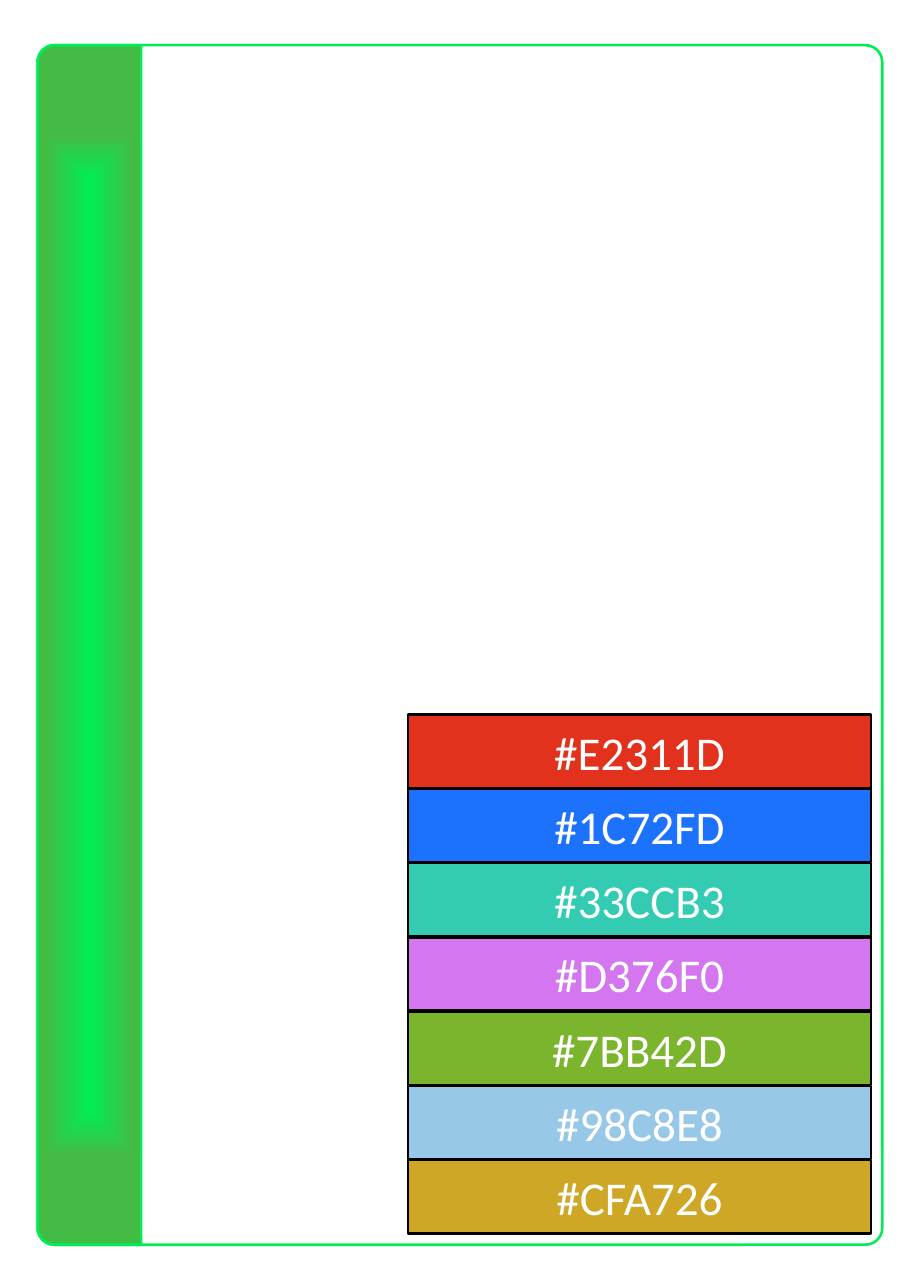
from math import cos, pi, sin
from lxml.etree import fromstring
from pptx import Presentation
from pptx.dml.color import RGBColor as Rgb
from pptx.enum.shapes import MSO_SHAPE as Kind
from pptx.enum.text import MSO_ANCHOR as Anchor, PP_ALIGN as Align
from pptx.util import Inches as In, Pt

codes = ["E2311D", "1C72FD", "33CCB3", "D376F0", "7BB42D", "98C8E8", "CFA726"]
hues = {"lime": "00EE55", "leaf": "44BB44", "edge": "000000", "text": "FFFFFF"}
fonts = {"name": "Calibri", "size": Pt(18), "color": hues["text"]}

wide, high = 4.88, 6.85
left, top, span, tall = 0.2, 0.24, 4.49, 6.38
band, curve = 0.55, 0.02
swatch = {"left": 2.17, "top": 3.8, "wide": 2.46, "high": 0.39, "step": 0.395}

deck = Presentation()
deck.slide_width, deck.slide_height = In(wide), In(high)
slide = deck.slides.add_slide(deck.slide_layouts[6])
shapes = slide.shapes


def trim(shape, hue, fill=None):
    shape.shadow.inherit = False
    shape.line.color.rgb = Rgb.from_string(hue)
    shape.line.width = Pt(1)
    if fill:
        shape.fill.solid()
        shape.fill.fore_color.rgb = Rgb.from_string(fill)
    else:
        shape.fill.background()


def put(kind, x, y, w, h):
    return shapes.add_shape(kind, In(x), In(y), In(w), In(h))


def arc(x, y, r, start, steps=12):
    turns = [start + pi / 2 * i / steps for i in range(steps + 1)]
    return [(In(x + r * cos(t)), In(y + r * sin(t))) for t in turns]


def blend(shape, inner, outer):
    stops = "".join(
        f'<a:gs pos="{at * 1000}"><a:srgbClr val="{hue}"/></a:gs>'
        for at, hue in [(0, inner), (85, outer)])
    sides = " ".join(f'{side}="50000"' for side in "ltrb")
    grad = fromstring(
        '<a:gradFill xmlns:a="http://schemas.openxmlformats.org/drawingml/2006/main"'
        f' rotWithShape="1"><a:gsLst>{stops}</a:gsLst><a:path path="shape">'
        f'<a:fillToRect {sides}/></a:path></a:gradFill>')
    old = shape.element.spPr.find("{*}solidFill")
    old.getparent().replace(old, grad)


def label(shape, text):
    frame = shape.text_frame
    frame.vertical_anchor = Anchor.MIDDLE
    para = frame.paragraphs[0]
    para.alignment = Align.CENTER
    run = para.add_run()
    run.text = text
    for key, value in fonts.items():
        if key == "color":
            run.font.color.rgb = Rgb.from_string(value)
        else:
            setattr(run.font, key, value)


radius = curve * span
right, base = left + band, top + tall
outline = [(In(right), In(top)), (In(right), In(base))]
outline += arc(left + radius, base - radius, radius, pi / 2)
outline += arc(left + radius, top + radius, radius, pi)
pen = shapes.build_freeform(*outline[0], scale=1.0)
pen.add_line_segments(outline[1:], close=True)
strip = pen.convert_to_shape()
trim(strip, hues["lime"], hues["leaf"])
blend(strip, hues["lime"], hues["leaf"])

frame = put(Kind.ROUNDED_RECTANGLE, left, top, span, tall)
frame.adjustments[0] = curve
trim(frame, hues["lime"])

for row, code in enumerate(codes):
    y = swatch["top"] + row * swatch["step"]
    box = put(Kind.RECTANGLE, swatch["left"], y, swatch["wide"], swatch["high"])
    trim(box, hues["edge"], code)
    label(box, f"#{code}")

deck.save("out.pptx")
